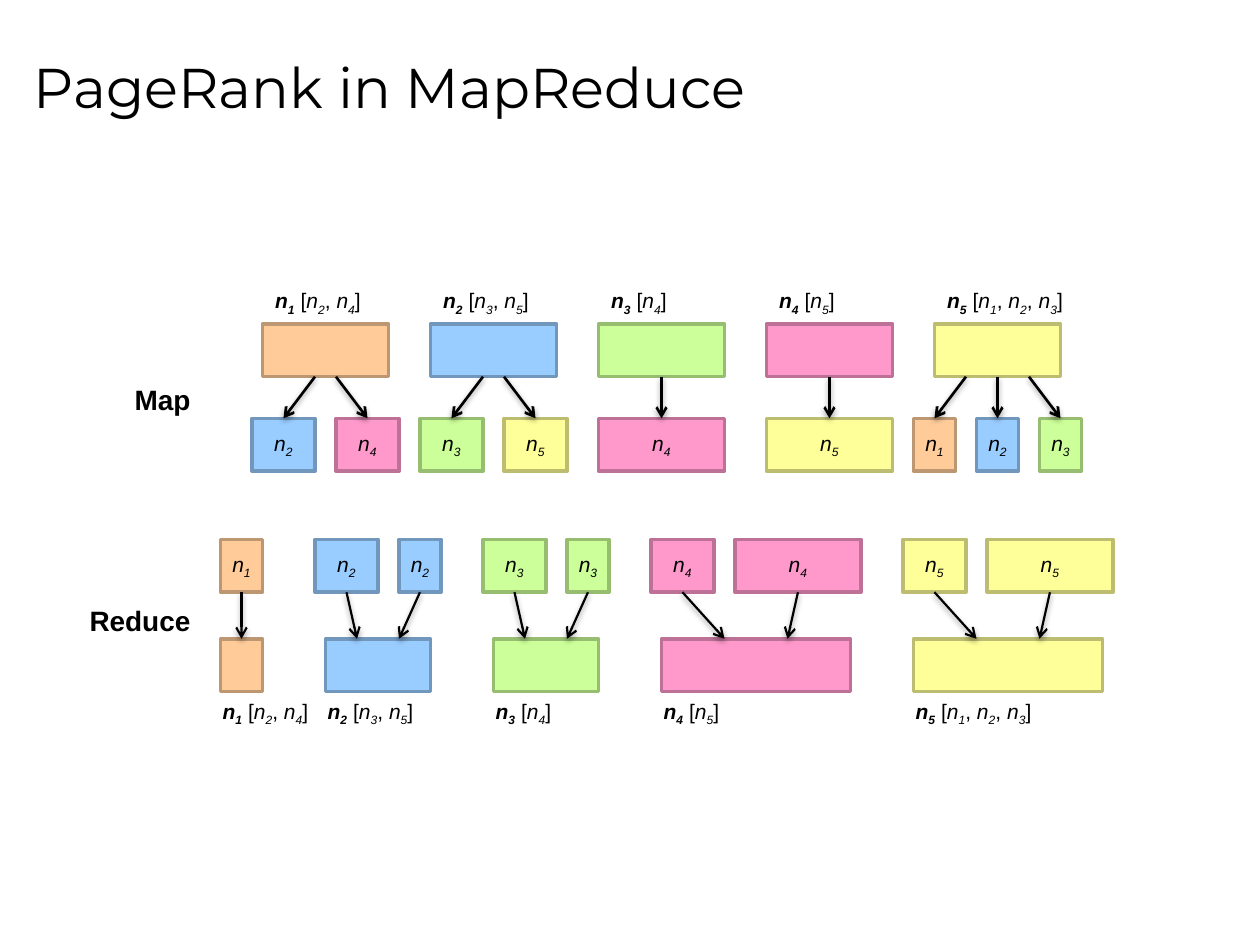
"""Build the slide that shows PageRank as a map step and a reduce step."""
from lxml import etree
from pptx import Presentation
from pptx.dml.color import RGBColor
from pptx.enum.shapes import MSO_CONNECTOR, MSO_SHAPE
from pptx.enum.text import MSO_ANCHOR, PP_ALIGN
from pptx.oxml import parse_xml
from pptx.oxml.ns import nsdecls, qn
from pptx.util import Inches, Pt

RECT = MSO_SHAPE.RECTANGLE
LINE = MSO_CONNECTOR.STRAIGHT
MIDDLE = MSO_ANCHOR.MIDDLE
CENTER = PP_ALIGN.CENTER
RIGHT = PP_ALIGN.RIGHT
BLACK = RGBColor(0x00, 0x00, 0x00)
FILLS = {
    1: RGBColor(0xFF, 0xCC, 0x99),
    2: RGBColor(0x99, 0xCC, 0xFF),
    3: RGBColor(0xCC, 0xFF, 0x99),
    4: RGBColor(0xFF, 0x99, 0xCC),
    5: RGBColor(0xFF, 0xFF, 0x99),
}
EDGES = {
    1: RGBColor(0xBD, 0x97, 0x71),
    2: RGBColor(0x71, 0x97, 0xBD),
    3: RGBColor(0x97, 0xBD, 0x71),
    4: RGBColor(0xBD, 0x71, 0x97),
    5: RGBColor(0xBD, 0xBD, 0x71),
}
PLAIN = "{2D5ABB26-0587-4C30-8999-92F81FD0307C}"
SHADOW = (
    f'<a:effectLst {nsdecls("a")}><a:outerShdw blurRad="40000" dist="20000" '
    'dir="5400000" rotWithShape="0"><a:srgbClr val="000000">'
    '<a:alpha val="38000"/></a:srgbClr></a:outerShdw></a:effectLst>'
)
UNIT = 1 / 12
HIGH = 0.42
GAP = 2
LINKS = {1: [2, 4], 2: [3, 5], 3: [4], 4: [5], 5: [1, 2, 3]}
PARTS = {1: (21, [4]), 2: (30, [6, 4]), 3: (46, [6, 4]),
         4: (62, [6, 12]), 5: (86, [6, 12])}

prs = Presentation()
prs.slide_width = Inches(10)
prs.slide_height = Inches(7.5)
slide = prs.slides.add_slide(prs.slide_layouts[6])
shapes = slide.shapes


def put(para, text, size=12, bold=False, slant=False, sub=False, face="Arial"):
    run = para.add_run()
    run.text = text
    font = run.font
    font.name = face
    font.size = Pt(size)
    font.bold = bold
    font.italic = slant
    font.color.rgb = BLACK
    if sub:
        font._element.set("baseline", "-25000")


def add_node(left, top, wide, node, named):
    box = shapes.add_shape(RECT, Inches(left * UNIT), Inches(top),
                           Inches(wide * UNIT), Inches(HIGH))
    box.shadow.inherit = False
    box.fill.solid()
    box.fill.fore_color.rgb = FILLS[node]
    box.line.color.rgb = EDGES[node]
    box.line.width = Pt(2)
    if named:
        frame = box.text_frame
        frame.word_wrap = False
        frame.vertical_anchor = MIDDLE
        frame.margin_left = frame.margin_right = 0
        frame.margin_top = frame.margin_bottom = 0
        para = frame.paragraphs[0]
        para.alignment = CENTER
        put(para, "n", slant=True)
        put(para, str(node), slant=True, sub=True)


title = shapes.add_textbox(Inches(0.17), Inches(0.12), Inches(9.5), Inches(1.12))
title.text_frame.word_wrap = True
title.text_frame.vertical_anchor = MIDDLE
put(title.text_frame.paragraphs[0], "PageRank in MapReduce", 32, face="Montserrat")

labels = []
lines = []

for node, outs in LINKS.items():
    left = 9 + 16 * node
    mid = left + 6
    labels.append((left, 2.25, node))
    add_node(left, 2.57, 12, node, False)
    wide = 12 // len(outs)
    for i, out in enumerate(outs):
        shift = (i - (len(outs) - 1) / 2) * (wide + GAP)
        add_node(mid + shift - wide / 2, 3.32, wide, out, True)
        lean = 3 if shift > 0 else -3 if shift < 0 else 0
        lines.append((mid + shift - lean, 2.99, mid + shift, 3.32, 1.5))

for node, (left, wides) in PARTS.items():
    total = sum(wides)
    base = left + (len(wides) - 1) * GAP / 2
    if len(wides) == 1:
        ends = [base + total / 2]
    else:
        ends = [base + total // 3, base + total - total // 3]
    for wide, end in zip(wides, ends):
        add_node(left, 4.28, wide, node, True)
        lines.append((left + wide / 2, 4.7, end, 5.07, 1.25))
        left += wide + GAP
    add_node(base, 5.07, total, node, False)
    labels.append((base - 1, 5.51, node))

for start, top, end, low, weight in lines:
    line = shapes.add_connector(LINE, Inches(start * UNIT), Inches(top),
                                Inches(end * UNIT), Inches(low))
    line.line.color.rgb = BLACK
    line.line.width = Pt(weight)
    etree.SubElement(line.line._get_or_add_ln(), qn("a:tailEnd"), type="arrow")
    line._element.spPr.append(parse_xml(SHADOW))

for left, top, node in labels:
    table = shapes.add_table(1, 1, Inches(left * UNIT), Inches(top),
                             Inches(1.58), Inches(0.31)).table
    table.first_row = False
    table.horz_banding = False
    table._tbl.tblPr.find(qn("a:tableStyleId")).text = PLAIN
    cell = table.cell(0, 0)
    cell.fill.background()
    para = cell.text_frame.paragraphs[0]
    put(para, "n", bold=True, slant=True)
    put(para, str(node), bold=True, slant=True, sub=True)
    mark = " ["
    for out in LINKS[node]:
        put(para, mark)
        put(para, "n", slant=True)
        put(para, str(out), slant=True, sub=True)
        mark = ", "
    put(para, "]")

for text, left, top, wide in [("Map", 0.96, 2.99, 0.65), ("Reduce", 0.6, 4.74, 1.01)]:
    phase = shapes.add_textbox(Inches(left), Inches(top), Inches(wide), Inches(0.37))
    phase.text_frame.word_wrap = False
    para = phase.text_frame.paragraphs[0]
    para.alignment = RIGHT
    put(para, text, 16, bold=True)

prs.save("out.pptx")
